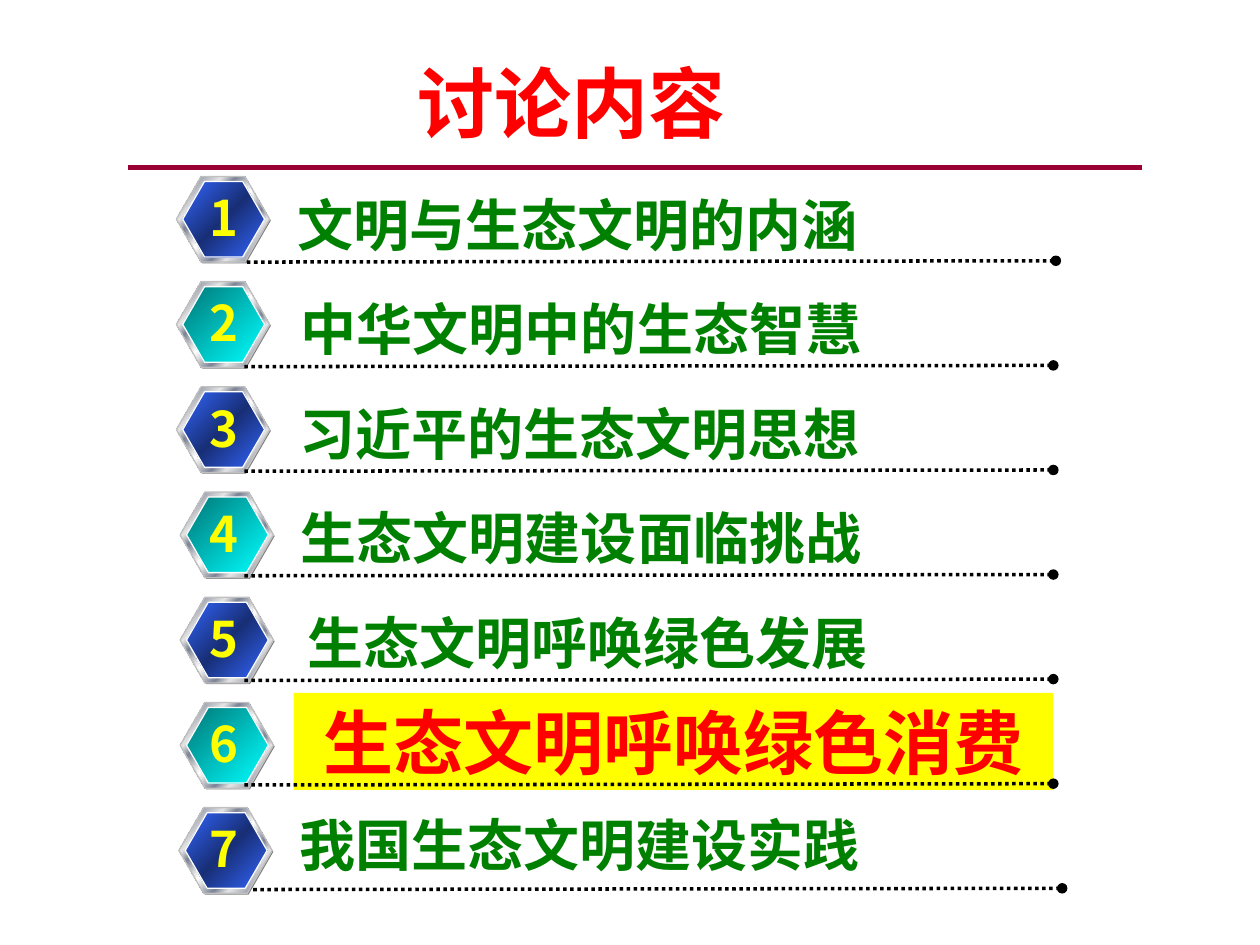
from dataclasses import dataclass

from lxml.etree import SubElement
from pptx import Presentation
from pptx.dml.color import RGBColor
from pptx.enum.dml import MSO_LINE_DASH_STYLE as Dash
from pptx.enum.shapes import MSO_CONNECTOR, MSO_SHAPE
from pptx.enum.text import MSO_ANCHOR, MSO_AUTO_SIZE, PP_ALIGN
from pptx.oxml.ns import qn
from pptx.util import Inches, Pt

RED = RGBColor(0xFF, 0x00, 0x00)
GREEN = RGBColor(0x00, 0x80, 0x00)
YELLOW = RGBColor(0xFF, 0xFF, 0x00)
MAROON = RGBColor(0x99, 0x00, 0x33)
BLACK = RGBColor(0x00, 0x00, 0x00)
WHITE = RGBColor(0xFF, 0xFF, 0xFF)
GREY = RGBColor(0x80, 0x80, 0x80)
SILVER = RGBColor(0xC0, 0xC0, 0xC0)
STEEL = RGBColor(0x7D, 0x84, 0x96)
LIGHT = RGBColor(0xE6, 0xE6, 0xE6)
BLUE = RGBColor(0x33, 0x66, 0xFF)
NAVY = RGBColor(0x18, 0x2F, 0x76)
TEAL = RGBColor(0x00, 0x76, 0x76)
CYAN = RGBColor(0x00, 0xFF, 0xFF)

FONT = "Noto Sans CJK SC"
TITLE_FORMAT = {"size": Pt(44), "bold": True}
TOPIC_FORMAT = {"size": Pt(32), "bold": True}
CURRENT_FORMAT = {"size": Pt(40), "bold": True}
NUMBER_FORMAT = {"size": Pt(28), "bold": True}

METAL = [(0, LIGHT), (8, STEEL), (26, LIGHT), (34, STEEL), (46, LIGHT), (50, WHITE),
         (54, LIGHT), (66, STEEL), (74, LIGHT), (92, STEEL), (100, LIGHT)]
BLUE_FACE = [(0, BLUE), (50, NAVY), (100, BLUE)]
TEAL_FACE = [(0, TEAL), (100, CYAN)]

# The slide is a grid of 10 columns by 7.5 rows.
COLUMNS = 10
ROW_PITCH = 0.83
BADGE_PITCH = 0.835
LEADER_WIDTH = 6.42


@dataclass
class Topic:
    text: str
    left: float
    badge_left: float = 1.4
    leader_left: float = 1.94
    lift: float = 0
    current: bool = False


TOPICS = [
    Topic("文明与生态文明的内涵", 2.26, leader_left=1.96),
    Topic("中华文明中的生态智慧", 2.29),
    Topic("习近平的生态文明思想", 2.28),
    Topic("生态文明建设面临挑战", 2.29, badge_left=1.43),
    Topic("生态文明呼唤绿色发展", 2.34, badge_left=1.43),
    Topic("生态文明呼唤绿色消费", 2.33, badge_left=1.43, current=True),
    Topic("我国生态文明建设实践", 2.28, badge_left=1.42, leader_left=2.01, lift=0.06),
]


class AgendaSlide:
    def __init__(self, presentation):
        self.unit = presentation.slide_width / COLUMNS
        self.slide = presentation.slides.add_slide(presentation.slide_layouts[5])
        self.shapes = self.slide.shapes

    def grid(self, *cells):
        return [round(cell * self.unit) for cell in cells]

    def fill_text(self, shape, text, color, font_format, align=PP_ALIGN.LEFT, wrap=True):
        frame = shape.text_frame
        frame_format = {"auto_size": MSO_AUTO_SIZE.NONE, "word_wrap": wrap,
                        "vertical_anchor": MSO_ANCHOR.TOP}
        for name, value in frame_format.items():
            setattr(frame, name, value)
        paragraph = frame.paragraphs[0]
        paragraph.alignment = align
        run = paragraph.add_run()
        run.text = text
        for name, value in {"name": FONT, **font_format}.items():
            setattr(run.font, name, value)
        run.font.color.rgb = color
        SubElement(run.font._element, qn("a:ea"), typeface=FONT)

    def title(self, text, *box):
        shape = self.shapes.title
        for name, value in zip(("left", "top", "width", "height"), self.grid(*box)):
            setattr(shape, name, value)
        self.fill_text(shape, text, RED, TITLE_FORMAT, PP_ALIGN.CENTER)

    def text(self, text, box, color, font_format, **options):
        shape = self.shapes.add_textbox(*self.grid(*box))
        self.fill_text(shape, text, color, font_format, **options)

    def block(self, kind, box, fill, outline=None):
        """Add a preset shape; fill is a colour or a list of gradient stops."""
        shape = self.shapes.add_shape(kind, *self.grid(*box))
        shape.shadow.inherit = False
        if isinstance(fill, list):
            self.gradient(shape, fill)
        else:
            shape.fill.solid()
            shape.fill.fore_color.rgb = fill
        if outline is None:
            shape.line.fill.background()
        else:
            shape.line.color.rgb = outline
            shape.line.width = Pt(0.75)
        return shape

    def gradient(self, shape, stops):
        shape.fill.gradient()
        shape.fill.gradient_angle = 315
        stop_list = shape._element.spPr.find(".//" + qn("a:gsLst"))
        for stop in list(stop_list):
            stop_list.remove(stop)
        for percent, color in stops:
            stop = SubElement(stop_list, qn("a:gs"), pos=str(percent * 1000))
            SubElement(stop, qn("a:srgbClr"), val=str(color))

    def hexagon(self, box, fill, outline=None):
        shape = self.block(MSO_SHAPE.HEXAGON, box, fill, outline)
        shape.adjustments[0] = 0.289
        shape.adjustments[1] = 1.155

    def badge(self, number, left, top):
        face = BLUE_FACE if number % 2 else TEAL_FACE
        self.hexagon((left + 0.01, top + 0.01, 0.74, 0.68), GREY)
        self.hexagon((left, top, 0.74, 0.68), METAL, SILVER)
        self.hexagon((left + 0.05, top + 0.04, 0.65, 0.6), face, WHITE)
        self.text(str(number), (1.58, top + 0.04, 0.4, 0.57), YELLOW, NUMBER_FORMAT,
                  align=PP_ALIGN.CENTER, wrap=False)

    def line(self, start, end, color, width, dotted=False):
        """Draw a plain line, or a dotted one that ends in a round dot."""
        connector = self.shapes.add_connector(
            MSO_CONNECTOR.STRAIGHT, *self.grid(*start, *end))
        connector.line.color.rgb = color
        connector.line.width = Pt(width)
        if dotted:
            connector.line.dash_style = Dash.ROUND_DOT
            SubElement(connector.line._get_or_add_ln(), qn("a:tailEnd"), type="oval")
        SubElement(connector._element.spPr, qn("a:effectLst"))

    def topic(self, index, topic):
        top = 1.46 + index * ROW_PITCH - topic.lift
        if topic.current:
            bar = self.block(MSO_SHAPE.RECTANGLE, (topic.left, 5.5, 6.03, 0.77), YELLOW)
            self.fill_text(bar, topic.text, RED, CURRENT_FORMAT, PP_ALIGN.CENTER)
        else:
            self.text(topic.text, (topic.left, top, 5.1, 0.64), GREEN, TOPIC_FORMAT)
        self.badge(index + 1, topic.badge_left, 1.4 + index * BADGE_PITCH)
        level = 2.08 + index * ROW_PITCH
        self.line((topic.leader_left, level),
                  (topic.leader_left + LEADER_WIDTH, level - 0.01), BLACK, 2, dotted=True)


def main():
    presentation = Presentation()
    presentation.slide_width, presentation.slide_height = Inches(10), Inches(7.5)
    agenda = AgendaSlide(presentation)
    agenda.line((1.02, 1.33), (9.06, 1.33), MAROON, 3)
    agenda.title("讨论内容 ", 0.11, 0.39, 9, 1.25)
    for index, topic in enumerate(TOPICS):
        agenda.topic(index, topic)
    presentation.save("out.pptx")


if __name__ == "__main__":
    main()
